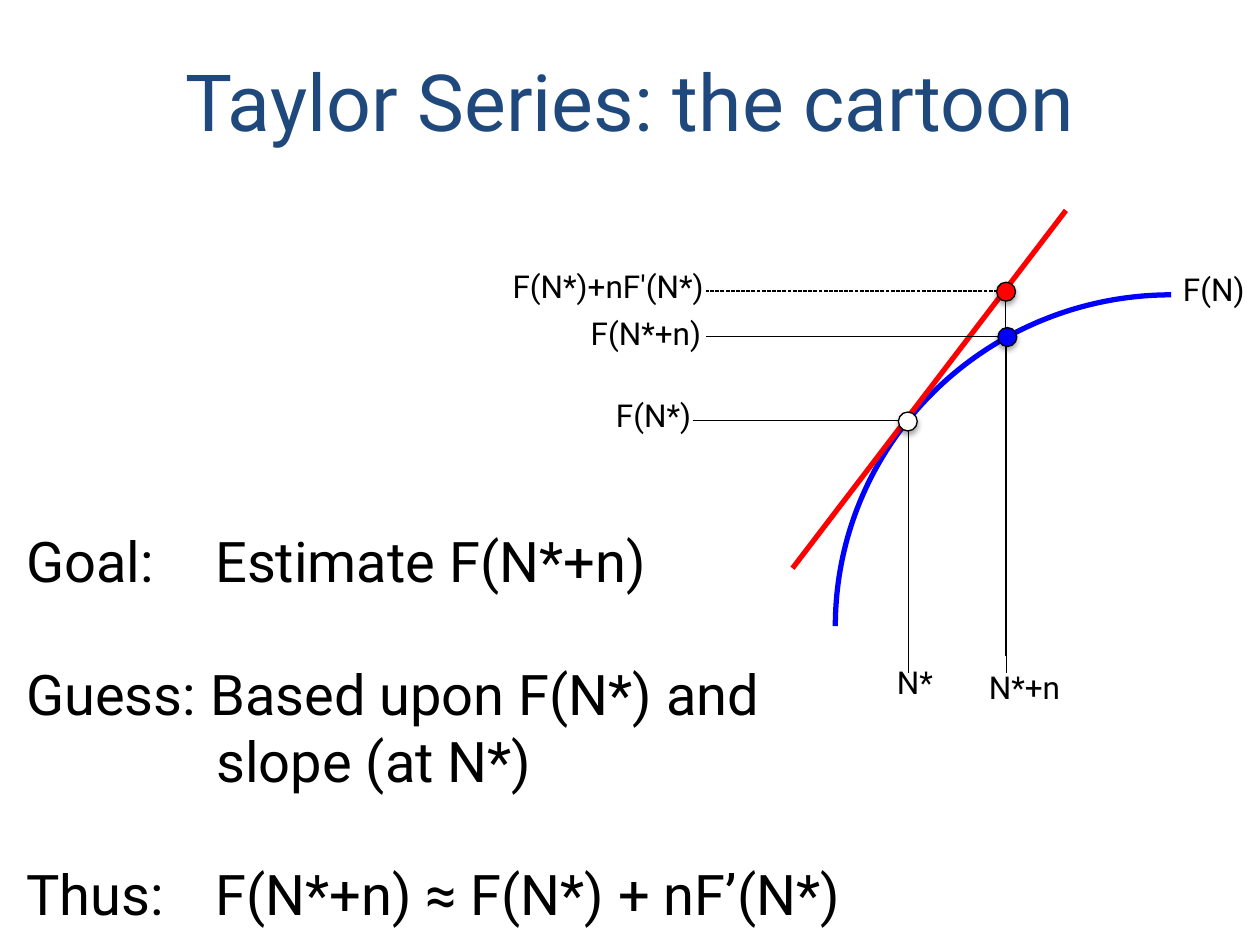
"""Build the Taylor series slide with its tangent line drawing."""
from lxml.etree import SubElement
from pptx import Presentation
from pptx.dml.color import RGBColor
from pptx.enum.dml import MSO_LINE
from pptx.enum.shapes import MSO_CONNECTOR, MSO_SHAPE
from pptx.enum.text import MSO_ANCHOR, PP_ALIGN
from pptx.oxml.ns import qn
from pptx.util import Emu, Pt

COLORS = {
    "title": "1F497D",
    "ink": "000000",
    "curve": "0000FF",
    "tangent": "FF0000",
    "open": "FFFFFF",
}
EMU_PER_PX = 9144
DOT_SIZE = 15


def px(*lengths):
    return [Emu(length * EMU_PER_PX) for length in lengths]


class SlideBuilder:
    def __init__(self, slide, font="Roboto"):
        self.slide = slide
        self.font = font

    def color(self, name):
        return RGBColor.from_string(COLORS[name])

    def run(self, paragraph, text, size, color="ink"):
        run = paragraph.add_run()
        run.text = text
        run.font.name = self.font
        run.font.size = Pt(size)
        run.font.color.rgb = self.color(color)

    def outline(self, shape, color, width):
        shape.line.color.rgb = self.color(color)
        shape.line.width = Pt(width)

    def title(self, text, left, top, width, height):
        title = self.slide.shapes.title
        title.left, title.top, title.width, title.height = px(left, top, width, height)
        title.text_frame.vertical_anchor = MSO_ANCHOR.MIDDLE
        paragraph = title.text_frame.paragraphs[0]
        paragraph.alignment = PP_ALIGN.CENTER
        self.run(paragraph, text, 45, "title")

    def text_box(self, left, top, width, height):
        box = self.slide.shapes.add_textbox(*px(left, top, width, height))
        box.text_frame.word_wrap = True
        return box.text_frame

    def label(self, text, left, top, width):
        frame = self.text_box(left, top, width, 40)
        self.run(frame.paragraphs[0], text, 18)

    def statements(self, items, left, top, width, height):
        frame = self.text_box(left, top, width, height)
        for index, (text, tab, hanging) in enumerate(items):
            paragraph = frame.add_paragraph() if index else frame.paragraphs[0]
            if index:
                paragraph.space_before = Pt(37.5)
            properties = paragraph._p.get_or_add_pPr()
            indent, = px(hanging)
            properties.set("marL", str(indent))
            properties.set("indent", str(-indent))
            if tab:
                tab_list = SubElement(properties, qn("a:tabLst"))
                SubElement(tab_list, qn("a:tab"), pos=str(px(tab)[0]), algn="l")
            self.run(paragraph, text, 32)

    def line(self, start, end, color="ink", width=0.75, dash=None):
        line = self.slide.shapes.add_connector(
            MSO_CONNECTOR.STRAIGHT, *px(*start, *end))
        self.outline(line, color, width)
        if dash:
            line.line.dash_style = dash
        SubElement(line._element.spPr, qn("a:effectLst"))

    def arc(self, left, top, width, height, start, end):
        arc = self.slide.shapes.add_shape(MSO_SHAPE.ARC, *px(left, top, width, height))
        for index, degrees in enumerate((start, end)):
            arc.adjustments[index] = degrees * 0.6
        arc.fill.background()
        self.outline(arc, "curve", 3)
        arc.shadow.inherit = False

    def dot(self, left, top, color):
        dot = self.slide.shapes.add_shape(
            MSO_SHAPE.OVAL, *px(left, top, DOT_SIZE, DOT_SIZE))
        dot.fill.solid()
        dot.fill.fore_color.rgb = self.color(color)
        self.outline(dot, "ink", 0.75)
        dot.shadow.inherit = False
        effects = dot._element.spPr.find(qn("a:effectLst"))
        shadow = SubElement(
            effects, qn("a:outerShdw"), blurRad=str(Pt(3.1)), dist=str(Pt(1.8)),
            dir="5400000", rotWithShape="0")
        shadow_color = SubElement(shadow, qn("a:srgbClr"), val=COLORS["ink"])
        SubElement(shadow_color, qn("a:alpha"), val="35000")


def main():
    presentation = Presentation()
    presentation.slide_width, presentation.slide_height = px(1000, 750)
    builder = SlideBuilder(presentation.slides.add_slide(presentation.slide_layouts[5]))

    builder.title("Taylor Series: the cartoon", 0, 17, 1000, 125)
    builder.statements([
        ("Goal:\tEstimate F(N*+n)", 132, 0),
        ("Guess: Based upon F(N*) and slope (at N*)", 0, 151),
        ("Thus:\tF(N*+n) ≈ F(N*) + nF’(N*)", 139, 0),
    ], 11, 413, 683, 333)

    builder.line((799, 269), (799, 534))
    builder.arc(663, 234, 533, 526, 180, 270)
    builder.line((629, 451), (846, 167), "tangent", 3)
    builder.line((721, 334), (721, 534))
    builder.line((721, 334), (550, 334))
    builder.line((798, 234), (798, 521))
    builder.line((796, 267), (560, 267))
    builder.line((796, 231), (560, 231), dash=MSO_LINE.SQUARE_DOT)

    for text, left, top, width in [
        ("F(N)", 929, 209, 117),
        ("N*", 702, 521, 60),
        ("F(N*)", 479, 309, 85),
        ("N*+n", 775, 525, 88),
        ("F(N*+n)", 459, 244, 130),
        ("F(N*)+nF'(N*)", 397, 207, 204),
    ]:
        builder.label(text, left, top, width)

    for left, top, color in [
        (713, 327, "open"), (791, 224, "tangent"), (792, 260, "curve"),
    ]:
        builder.dot(left, top, color)

    presentation.save("out.pptx")


if __name__ == "__main__":
    main()
